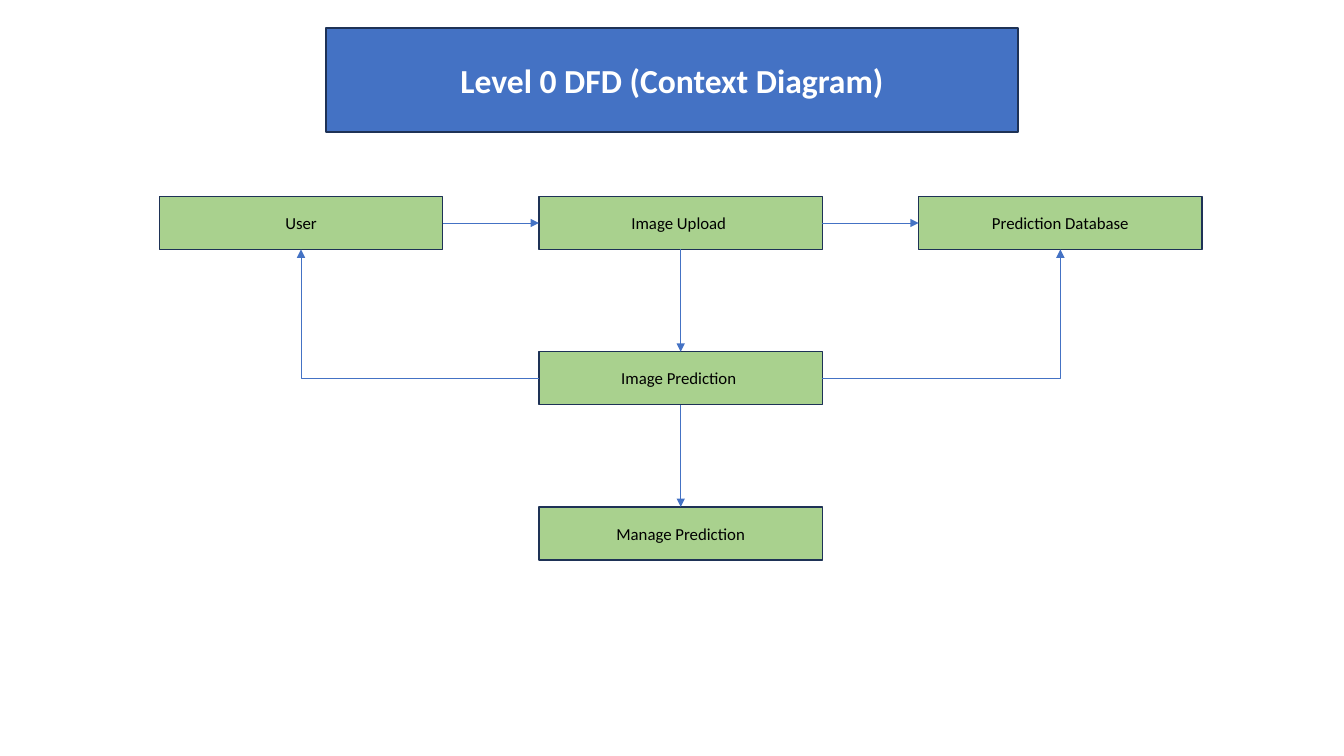
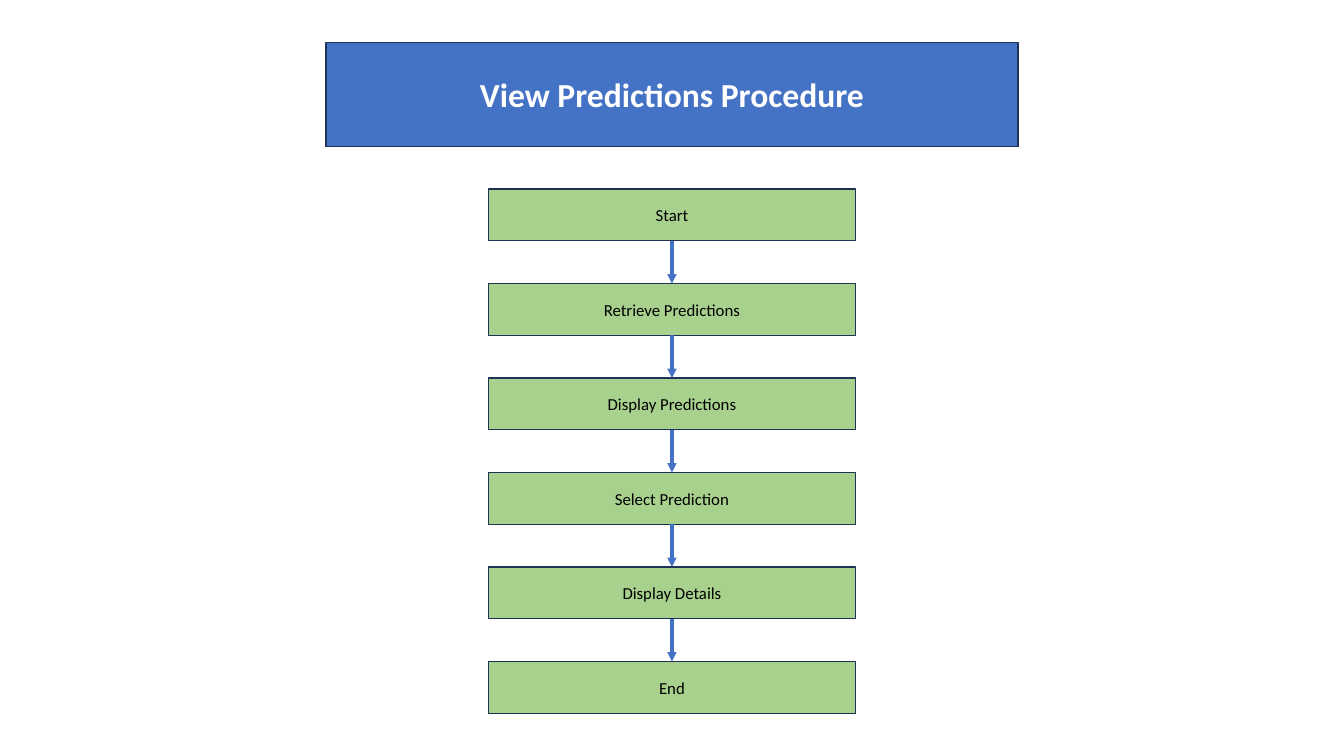
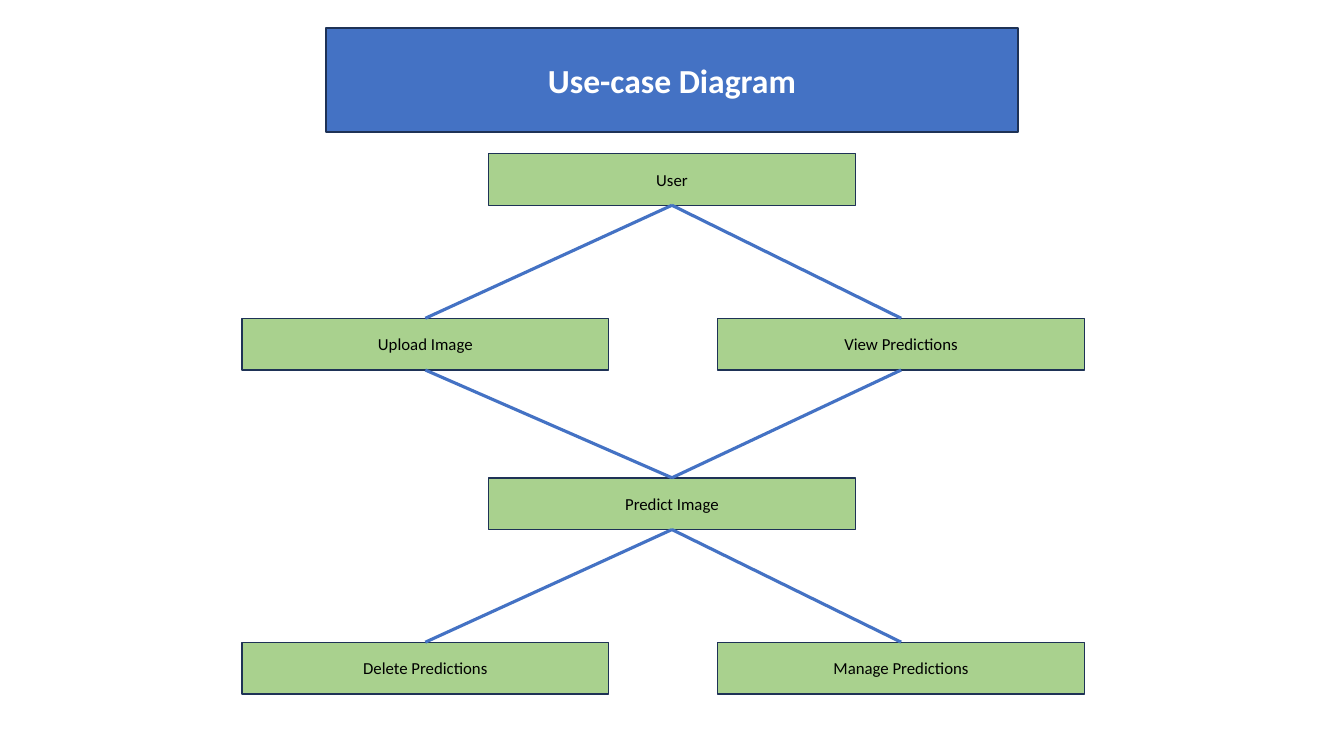
import itertools
from dataclasses import dataclass

import pptx
import pptx.dml.color
import pptx.enum.shapes
import pptx.enum.text
import pptx.oxml.ns
import pptx.util
from lxml import etree


@dataclass(frozen=True)
class Theme:
    font: str = "Calibri"
    blue: str = "4472C4"
    green: str = "A9D18E"
    navy: str = "1E3256"
    white: str = "FFFFFF"
    black: str = "000000"
    head: int = 24
    body: int = 12
    edge: float = 1
    thin: float = 0.5
    thick: float = 2.25


look = Theme()
TOP, LEFT, BOTTOM, RIGHT = range(4)
KIND = pptx.enum.shapes.MSO_CONNECTOR
qn = pptx.oxml.ns.qn
rgb = pptx.dml.color.RGBColor.from_string

deck = pptx.Presentation()
deck.slide_width = pptx.util.Inches(13.333)
deck.slide_height = pptx.util.Inches(7.5)
blank = deck.slide_layouts[6]

# The slide is a grid of 100 columns and 100 rows
col = deck.slide_width / 100
row = deck.slide_height / 100


def box(page, text, *, mid, top, wide=27.3, high=6.85,
        fill=look.green, ink=look.black, size=look.body, bold=False):
    """Add a box with centred text; mid is the column of its centre."""
    shape = page.shapes.add_shape(
        pptx.enum.shapes.MSO_SHAPE.RECTANGLE,
        round((mid - wide / 2) * col), round(top * row),
        round(wide * col), round(high * row))
    shape.shadow.inherit = False
    shape.fill.solid()
    shape.fill.fore_color.rgb = rgb(fill)
    shape.line.color.rgb = rgb(look.navy)
    shape.line.width = pptx.util.Pt(look.edge)
    frame = shape.text_frame
    frame.word_wrap = True
    frame.vertical_anchor = pptx.enum.text.MSO_ANCHOR.MIDDLE
    para = frame.paragraphs[0]
    para.alignment = pptx.enum.text.PP_ALIGN.CENTER
    run = para.add_run()
    run.text = text
    run.font.name = look.font
    run.font.size = pptx.util.Pt(size)
    run.font.bold = bold
    run.font.color.rgb = rgb(ink)
    return shape


def link(page, start, end, out=BOTTOM, into=TOP, *,
         width=look.thick, arrow=True, bent=False):
    """Join a side of one box to a side of another."""
    line = page.shapes.add_connector(
        KIND.ELBOW if bent else KIND.STRAIGHT, 0, 0, 0, 0)
    line.begin_connect(start, out)
    line.end_connect(end, into)
    line.line.color.rgb = rgb(look.blue)
    line.line.width = pptx.util.Pt(width)
    props = line._element.spPr
    if bent:
        props.find(qn("a:prstGeom")).set("prst", "bentConnector2")
    if arrow:
        etree.SubElement(props.find(qn("a:ln")), qn("a:tailEnd"), type="triangle")
    etree.SubElement(props, qn("a:effectLst"))


# Pages and their title bands
pages = []
for title, top in (("Level 0 DFD (Context Diagram)", 3.7),
                   ("View Predictions Procedure", 5.6),
                   ("Use-case Diagram", 3.7)):
    page = deck.slides.add_slide(blank)
    box(page, title, mid=50, top=top, wide=51.5, high=13.75,
        fill=look.blue, ink=look.white, size=look.head, bold=True)
    pages.append(page)
context, steps, cases = pages

# Context diagram: three columns and three rows
nodes = {}
for name, across, down in (("User", 0, 0),
                           ("Image Upload ", 1, 0),
                           ("Prediction Database", 2, 0),
                           ("Image Prediction ", 1, 1),
                           ("Manage Prediction", 1, 2)):
    nodes[across, down] = box(context, name, mid=22.4 + 28.25 * across,
                              top=26 + 20.53 * down, wide=21.1, high=7)

for start, end, out, into, bent in (((0, 0), (1, 0), RIGHT, LEFT, False),
                                    ((1, 0), (2, 0), RIGHT, LEFT, False),
                                    ((1, 1), (0, 0), LEFT, BOTTOM, True),
                                    ((1, 1), (2, 0), RIGHT, BOTTOM, True),
                                    ((1, 0), (1, 1), BOTTOM, TOP, False),
                                    ((1, 1), (1, 2), BOTTOM, TOP, False)):
    link(context, nodes[start], nodes[end], out, into,
         width=look.thin, bent=bent)

# Procedure: one column of steps, an eighth of the slide apart
names = ("Start", "Retrieve Predictions", "Display Predictions",
         "Select Prediction", "Display Details", "End")
chain = [box(steps, name, mid=50, top=25 + 12.5 * i)
         for i, name in enumerate(names)]
for start, end in itertools.pairwise(chain):
    link(steps, start, end)

# Use cases: tiers of one and two boxes, each tier joined to the next
west, east = 31.65, 67.05
tiers = []
for top, tier in ((20.3, {"User": 50}),
                  (42.1, {"Upload Image": west, "View Predictions": east}),
                  (63.2, {"Predict Image": 50}),
                  (84.95, {"Delete Predictions": west,
                           "Manage Predictions": east})):
    tiers.append([box(cases, name, mid=mid, top=top)
                  for name, mid in tier.items()])
for upper, lower in itertools.pairwise(tiers):
    for start, end in itertools.product(upper, lower):
        link(cases, start, end, arrow=False)

deck.save("out.pptx")
